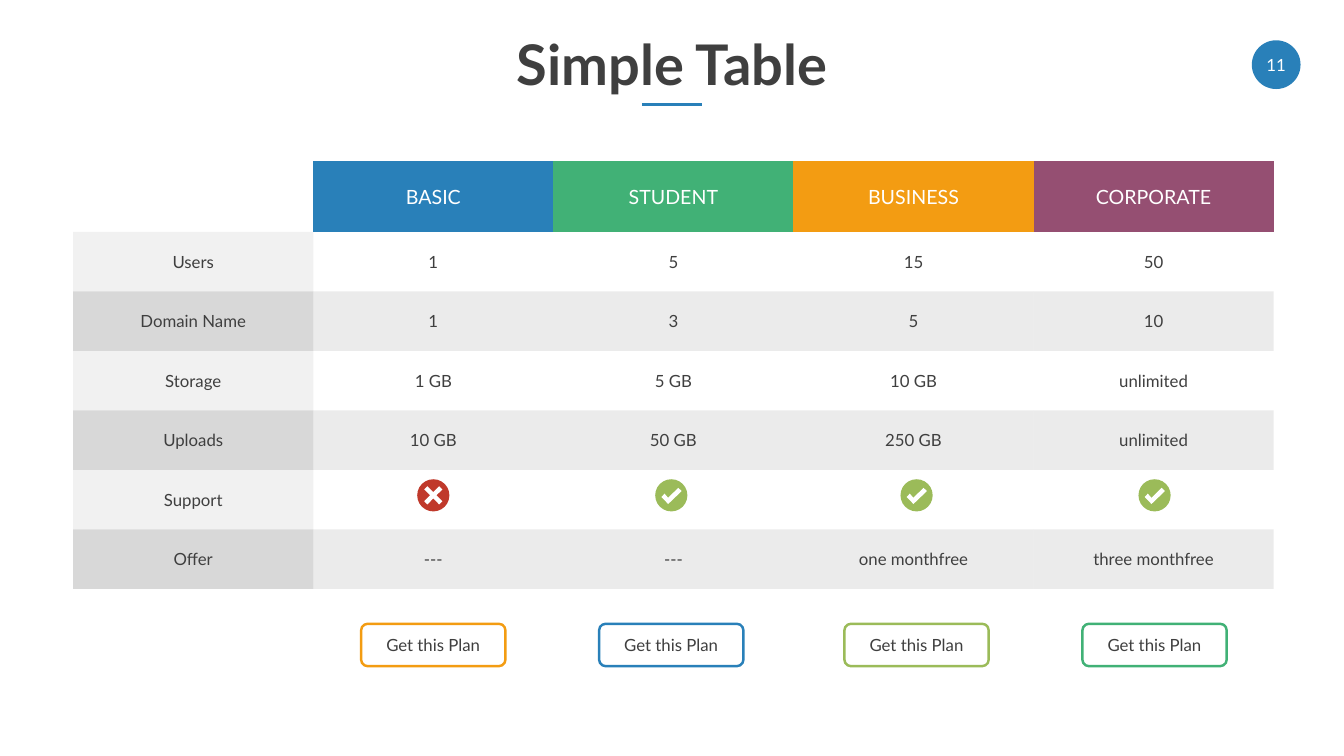
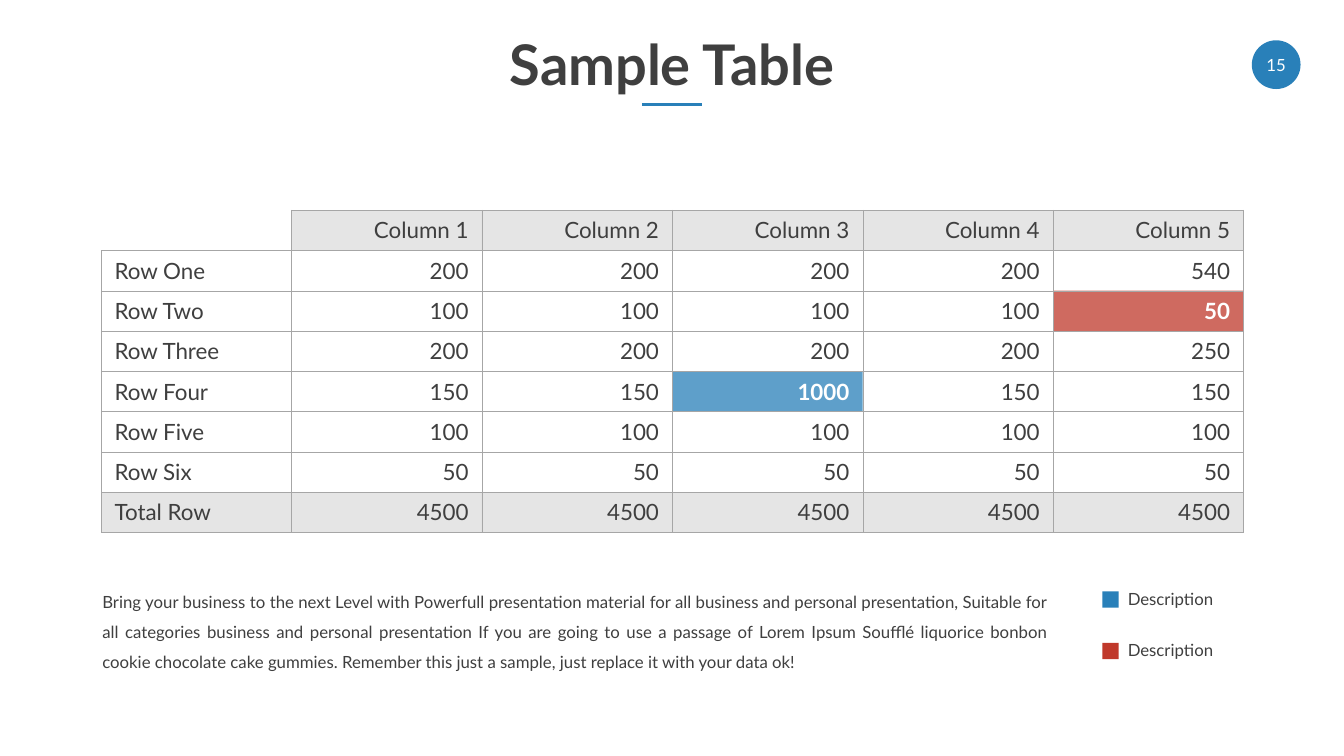
from lxml.etree import SubElement
from pptx import Presentation
from pptx.dml.color import RGBColor
from pptx.enum.shapes import MSO_CONNECTOR, MSO_SHAPE
from pptx.enum.text import MSO_ANCHOR, PP_ALIGN
from pptx.oxml import parse_xml
from pptx.oxml.ns import nsdecls, qn
from pptx.util import Pt

COLORS = {
    "text": "3F3F3F", "white": "FFFFFF", "blue": "2980B9", "green": "41B176",
    "orange": "F39C12", "purple": "954F72", "lime": "9BBB59", "red": "C0392B",
    "light": "D9D9D9", "silver": "B2B2B2", "gray": "808080", "border": "A6A6A6",
}
RGB = {name: RGBColor.from_string(value) for name, value in COLORS.items()}
NO_STYLE = "{2D5ABB26-0587-4C30-8999-92F81FD0307C}"


def write(frame, text, size=12, color="text", align=PP_ALIGN.CENTER, bold=False):
    paragraph = frame.paragraphs[0]
    paragraph.alignment = align
    run = paragraph.add_run()
    run.text = text
    run.font.name = "Lato"
    run.font.size = Pt(size)
    run.font.bold = bold
    run.font.color.rgb = RGB[color]
    return paragraph


def paint(target, color, opacity=100):
    target.fill.solid()
    target.fill.fore_color.rgb = RGB[color]
    if opacity < 100:
        tone = target.fill._xPr.find(".//" + qn("a:srgbClr"))
        SubElement(tone, qn("a:alpha")).set("val", str(opacity * 1000))


deck = Presentation()
deck.slide_width, deck.slide_height = Pt(960), Pt(540)

slides = []
for heading, number in [("Simple Table", "11"), ("Sample Table", "15")]:
    slide = deck.slides.add_slide(deck.slide_layouts[6])
    slides.append(slide)

    badge = slide.shapes.add_shape(MSO_SHAPE.OVAL, Pt(894.2), Pt(28.8), Pt(34.8), Pt(34.8))
    badge.shadow.inherit = False
    badge.line.fill.background()
    paint(badge, "blue")
    page = badge.text_frame
    page.margin_left = page.margin_right = page.margin_top = page.margin_bottom = 0
    page.vertical_anchor = MSO_ANCHOR.MIDDLE
    page.word_wrap = False
    write(page, number, color="white")

    underline = slide.shapes.add_connector(
        MSO_CONNECTOR.STRAIGHT, Pt(458.5), Pt(74.5), Pt(501.5), Pt(74.5))
    underline.line.color.rgb = RGB["blue"]
    underline.line.width = Pt(2)
    SubElement(underline._element.spPr, qn("a:effectLst"))

    title = slide.shapes.add_textbox(Pt(66), Pt(14.4), Pt(828), Pt(67.7)).text_frame
    title.word_wrap = True
    title.vertical_anchor = MSO_ANCHOR.MIDDLE
    write(title, heading, 40, bold=True).line_spacing = 0.9

pricing, sample = slides

plan_colors = ["blue", "green", "orange", "purple"]
plan_rows = [
    ["", "BASIC", "STUDENT", "BUSINESS", "CORPORATE"],
    ["Users", "1", "5", "15", "50"],
    ["Domain Name", "1", "3", "5", "10"],
    ["Storage", "1 GB", "5 GB", "10 GB", "unlimited"],
    ["Uploads", "10 GB", "50 GB", "250 GB", "unlimited"],
    ["Support", "", "", "", ""],
    ["Offer", "---", "---", "one monthfree", "three monthfree"],
]
plans = pricing.shapes.add_table(7, 5, Pt(52.3), Pt(115.2), Pt(857.5), Pt(305.4)).table
plans.first_row = plans.horz_banding = False
plans._tbl.tblPr.find(qn("a:tableStyleId")).text = NO_STYLE
for column in plans.columns:
    column.width = Pt(171.5)
for r, values in enumerate(plan_rows):
    plans.rows[r].height = Pt(42.5 if r else 50.4)
    for c, value in enumerate(values):
        cell = plans.cell(r, c)
        cell.margin_left = cell.margin_right = cell.margin_top = cell.margin_bottom = Pt(2)
        cell.vertical_anchor = MSO_ANCHOR.MIDDLE
        if value:
            write(cell.text_frame, value, 12 if r else 14, "text" if r else "white")
        if r == 0 and c:
            paint(cell, plan_colors[c - 1])
        elif r and r % 2 == 0:
            paint(cell, "silver", 25 if c else 50)
        elif r and c == 0:
            paint(cell, "light", 35)
        else:
            cell.fill.background()

cross = [(0, -2.2), (4.2, -6.5), (6.5, -4.2), (2.2, 0), (6.5, 4.2), (4.2, 6.5),
         (0, 2.2), (-4.2, 6.5), (-6.5, 4.2), (-2.2, 0), (-6.5, -4.2), (-4.2, -6.5)]
check = [(-2.2, 6.2), (-7, 1.2), (-4.8, -1.2), (-2.2, 1.8), (5, -5.4), (7.4, -3)]
support_y = 353.8
offers = [
    (309.5, "orange", "red", cross),
    (479.5, "blue", "lime", check),
    (654.7, "lime", "lime", check),
    (824.7, "green", "lime", check),
]
for center, outline, disc_color, mark in offers:
    button = pricing.shapes.add_shape(
        MSO_SHAPE.ROUNDED_RECTANGLE, Pt(center - 51.5), Pt(445.6), Pt(103), Pt(30.2))
    button.adjustments[0] = 0.15
    button.shadow.inherit = False
    button.fill.background()
    button.line.color.rgb = RGB[outline]
    button.line.width = Pt(1.75)
    button.text_frame.vertical_anchor = MSO_ANCHOR.MIDDLE
    write(button.text_frame, "Get this Plan")

    disc = pricing.shapes.add_shape(
        MSO_SHAPE.OVAL, Pt(center - 11.5), Pt(support_y - 11.5), Pt(23), Pt(23))
    points = [(Pt(center + x), Pt(support_y + y)) for x, y in mark]
    outline_builder = pricing.shapes.build_freeform(*points[0])
    outline_builder.add_line_segments(points[1:], close=True)
    symbol = outline_builder.convert_to_shape()
    for part, color in [(disc, disc_color), (symbol, "white")]:
        part.shadow.inherit = False
        part.line.fill.background()
        paint(part, color)

figure_rows = [
    ["", "Column 1", "Column 2", "Column 3", "Column 4", "Column 5"],
    ["Row One", "200", "200", "200", "200", "540"],
    ["Row Two", "100", "100", "100", "100", "50"],
    ["Row Three", "200", "200", "200", "200", "250"],
    ["Row Four", "150", "150", "1000", "150", "150"],
    ["Row Five", "100", "100", "100", "100", "100"],
    ["Row Six", "50", "50", "50", "50", "50"],
    ["Total Row", "4500", "4500", "4500", "4500", "4500"],
]
highlights = {(2, 5): "red", (4, 3): "blue"}
figures = sample.shapes.add_table(8, 6, Pt(72.3), Pt(150), Pt(816), Pt(230.4)).table
figures.first_row = figures.horz_banding = False
figures._tbl.tblPr.find(qn("a:tableStyleId")).text = NO_STYLE
for column in figures.columns:
    column.width = Pt(136)
for r, values in enumerate(figure_rows):
    figures.rows[r].height = Pt(28.8)
    for c, value in enumerate(values):
        cell = figures.cell(r, c)
        cell.margin_left = cell.margin_right = Pt(9.6)
        cell.margin_top = cell.margin_bottom = Pt(4.8 if value else 0)
        highlight = highlights.get((r, c))
        if value:
            write(cell.text_frame, value, 16, "white" if highlight else "text",
                  PP_ALIGN.RIGHT if c else PP_ALIGN.LEFT, bool(highlight))
        if highlight:
            paint(cell, highlight, 75)
        elif value and r in (0, 7):
            paint(cell, "gray", 20)
        else:
            cell.fill.background()
        sides = ["lnL", "lnR", "lnT", "lnB"] if value else ["lnR", "lnB"]
        for position, side in enumerate(sides):
            cell._tc.get_or_add_tcPr().insert(position, parse_xml(
                f'<a:{side} {nsdecls("a")} w="{Pt(0.25)}"><a:solidFill>'
                f'<a:srgbClr val="{COLORS["border"]}"/></a:solidFill></a:{side}>'))

summary = sample.shapes.add_textbox(Pt(66), Pt(411.8), Pt(689.8), Pt(72.7)).text_frame
summary.word_wrap = True
write(
    summary,
    "Bring your business to the next Level with Powerfull presentation material for all "
    "business and personal presentation, Suitable for all categories business and personal "
    "presentation If you are going to use a passage of Lorem Ipsum Soufflé liquorice bonbon "
    "cookie chocolate cake gummies. Remember this just a sample, just replace it with your "
    "data ok!",
    align=PP_ALIGN.JUSTIFY,
).line_spacing = 1.5

for index, color in enumerate(["blue", "red"]):
    top = 422.5 + index * 36.8
    swatch = sample.shapes.add_shape(MSO_SHAPE.RECTANGLE, Pt(787.5), Pt(top), Pt(11.5), Pt(11.5))
    swatch.shadow.inherit = False
    swatch.line.fill.background()
    paint(swatch, color)
    label = sample.shapes.add_textbox(Pt(798.5), Pt(top - 5.6), Pt(76.3), Pt(21.6)).text_frame
    label.word_wrap = False
    write(label, "Description", align=PP_ALIGN.LEFT)

deck.save("out.pptx")
